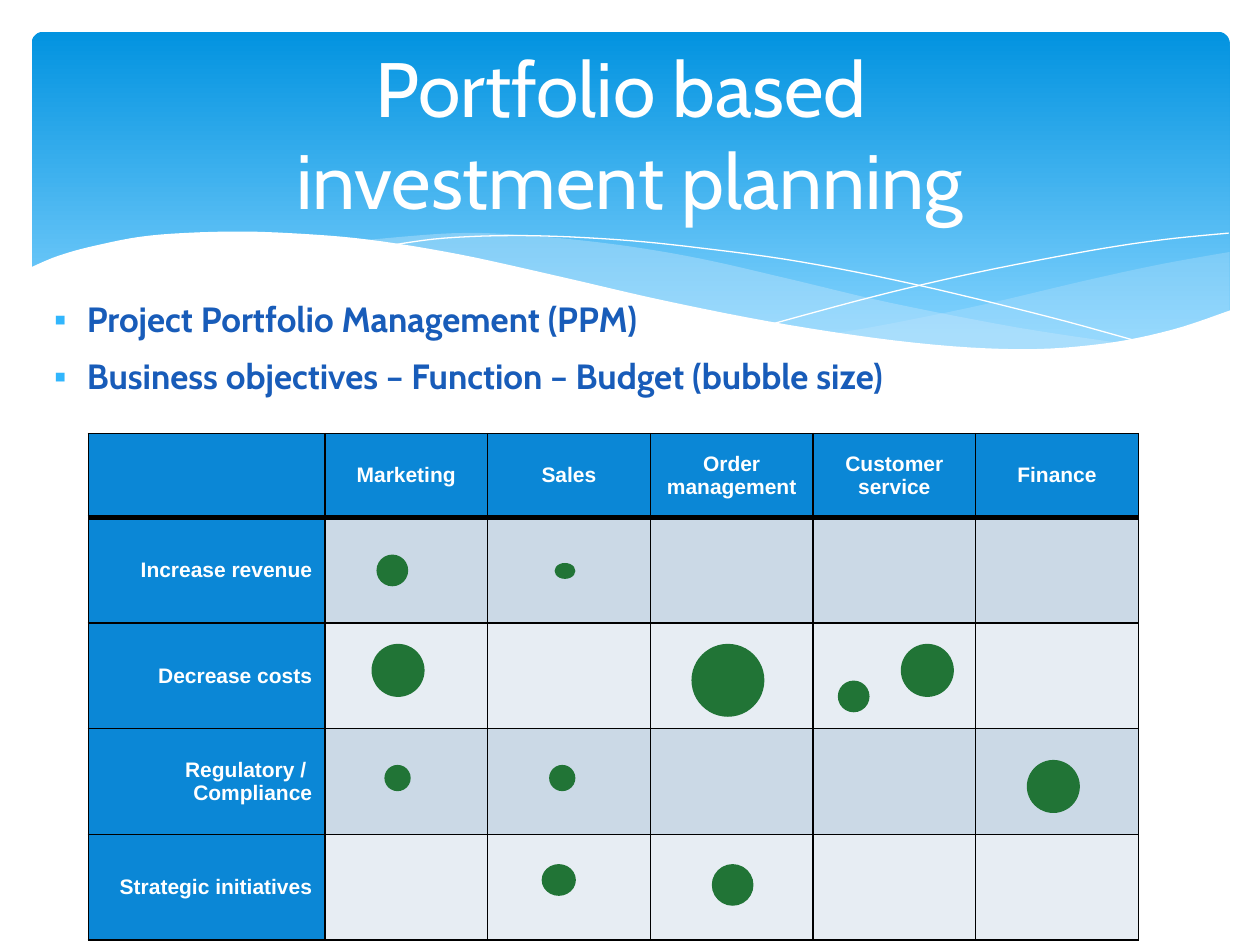
import pptx
import pptx.util
from lxml import etree
from pptx.dml.color import RGBColor
from pptx.enum.shapes import MSO_SHAPE
from pptx.enum.text import MSO_ANCHOR, PP_ALIGN
from pptx.oxml.ns import qn
from pptx.util import Cm, Pt

WHITE = RGBColor(0xFF, 0xFF, 0xFF)
BLACK = RGBColor(0x00, 0x00, 0x00)
PANEL_TOP = RGBColor(0x02, 0x93, 0xE0)
PANEL_BOTTOM = RGBColor(0x83, 0xD3, 0xFE)
WAVE = RGBColor(0xC6, 0xE7, 0xFC)
BULLET = RGBColor(0x31, 0xB6, 0xFD)
BODY = RGBColor(0x18, 0x5C, 0xB9)
HEADER = RGBColor(0x0B, 0x87, 0xD6)
BAND_DARK = RGBColor(0xCB, 0xD9, 0xE6)
BAND_LIGHT = RGBColor(0xE7, 0xED, 0xF3)
BUBBLE = RGBColor(0x21, 0x74, 0x36)

TITLE = "Portfolio based \vinvestment planning"
POINTS = ["Project Portfolio Management (PPM)",
          "Business objectives – Function – Budget (bubble size)"]
FUNCTIONS = ["Marketing", "Sales", "Order management", "Customer service", "Finance"]
OBJECTIVES = ["Increase revenue", "Decrease costs", "Regulatory / \vCompliance",
              "Strategic initiatives"]

# Left, top, width, height in cm
BUBBLES = [
    (13.94, 12.98, 1.47, 1.47), (7.59, 11.18, 0.64, 0.64), (11.18, 11.35, 0.42, 0.32),
    (7.49, 12.98, 1.07, 1.07), (7.75, 15.42, 0.53, 0.53), (11.07, 15.42, 0.53, 0.53),
    (10.92, 17.42, 0.69, 0.64), (14.35, 17.42, 0.84, 0.84), (20.7, 15.32, 1.07, 1.07),
    (18.16, 12.98, 1.07, 1.07), (16.89, 13.72, 0.64, 0.64),
]

# Points in cm that each curve passes through
RIGHT_WAVE_TOP = [(24.79, 5.08), (23.39, 5.33), (21.87, 5.66), (19.79, 6.15),
                  (17.93, 6.53), (16.79, 6.73)]
RIGHT_WAVE_BOTTOM = [(16.79, 6.73), (18.26, 6.91), (19.84, 7.04), (21.21, 7.04),
                     (22.58, 6.91), (23.75, 6.65), (24.79, 6.27)]
LONG_WAVE_TOP = [(22.68, 6.93), (20.5, 6.6), (17.93, 6.1), (15.98, 5.64), (14.1, 5.21),
                 (12.42, 4.93), (10.67, 4.75), (9.17, 4.7), (7.26, 4.85)]
LONG_WAVE_BOTTOM = [(7.26, 4.85), (8.69, 5.05), (10.26, 5.36), (11.4, 5.64), (13.46, 6.1),
                    (15.27, 6.48), (17.27, 6.81), (19, 7.01), (20.5, 7.06), (22.68, 6.93)]
FALLING_LINE = [(7.85, 4.95), (8.97, 4.8), (10.57, 4.75), (12.42, 4.83), (14.12, 5),
                (16.15, 5.28), (18.47, 5.74), (21.11, 6.38), (23.04, 6.91)]
RISING_LINE = [(15.57, 6.53), (17.65, 5.97), (19.71, 5.49), (22, 5.05), (23.47, 4.83),
               (24.77, 4.7)]
PANEL_EDGE = [(24.82, 6.25), (23.62, 6.65), (22.23, 6.93), (20.55, 7.04), (18.44, 6.91),
              (15.9, 6.55), (13.44, 6.07), (11.35, 5.59), (9.27, 5.13), (7.42, 4.83),
              (5.84, 4.7), (4.5, 4.67), (3.02, 4.75), (1.93, 4.95), (1.17, 5.16),
              (0.58, 5.41)]
PANEL_CORNERS = [(0.58, 8.36), (24.82, 8.36)]


def smooth(knots, steps=6):
    """Return points on a Catmull-Rom curve through the knots."""
    padded = [knots[0], *knots, knots[-1]]
    points = [knots[0]]
    for a, b, c, d in zip(padded, padded[1:], padded[2:], padded[3:]):
        for step in range(1, steps + 1):
            t = step / steps
            points.append(tuple(
                (2 * q + (r - p) * t + (2 * p - 5 * q + 4 * r - s) * t ** 2
                 + (3 * q - p - 3 * r + s) * t ** 3) / 2
                for p, q, r, s in zip(a, b, c, d)))
    return points


def add_outline(slide, points, fill=None, alpha=100, line=None):
    emu = [(Cm(x), Cm(y)) for x, y in points]
    builder = slide.shapes.build_freeform(*emu[0])
    builder.add_line_segments(emu[1:], close=fill is not None)
    shape = builder.convert_to_shape()
    shape.shadow.inherit = False
    if fill is None:
        shape.fill.background()
    else:
        shape.fill.solid()
        shape.fill.fore_color.rgb = fill
        color = shape.element.spPr.find(qn("a:solidFill"))[0]
        etree.SubElement(color, qn("a:alpha"), val=str(alpha * 1000))
    if line is None:
        shape.line.fill.background()
    else:
        shape.line.color.rgb = line
        shape.line.width = Pt(0)


def add_preset(slide, kind, box):
    shape = slide.shapes.add_shape(kind, *map(Cm, box))
    shape.shadow.inherit = False
    shape.line.fill.background()
    return shape


def write(paragraph, text, *, font, size, color, bold=False, align=PP_ALIGN.LEFT):
    paragraph.text = text
    paragraph.alignment = align
    paragraph.font.name = font
    paragraph.font.size = Pt(size)
    paragraph.font.bold = bold
    paragraph.font.color.rgb = color


def add_bullet(paragraph):
    properties = paragraph._p.get_or_add_pPr()
    properties.set("marL", str(Cm(0.66)))
    properties.set("indent", str(-Cm(0.66)))
    color = etree.SubElement(properties, qn("a:buClr"))
    etree.SubElement(color, qn("a:srgbClr"), val=str(BULLET))
    etree.SubElement(properties, qn("a:buFont"), typeface="Arial")
    etree.SubElement(properties, qn("a:buChar"), char="▪")


def format_cell(cell, fill, **widths):
    """Give the cell black borders, 1 pt unless widths names a side, and a fill."""
    properties = cell._tc.get_or_add_tcPr()
    for side in ("lnL", "lnR", "lnT", "lnB"):
        border = etree.SubElement(properties, qn(f"a:{side}"), w=str(Pt(widths.get(side, 1))))
        solid = etree.SubElement(border, qn("a:solidFill"))
        etree.SubElement(solid, qn("a:srgbClr"), val=str(BLACK))
    cell.fill.solid()
    cell.fill.fore_color.rgb = fill
    cell.vertical_anchor = MSO_ANCHOR.MIDDLE


def add_backdrop(slide):
    panel = add_preset(slide, MSO_SHAPE.ROUNDED_RECTANGLE, (0.64, 0.64, 24.15, 6.86))
    panel.adjustments[0] = 0.034
    panel.fill.gradient()
    panel.fill.gradient_angle = 270
    for stop, color, position in zip(panel.fill.gradient_stops,
                                     (PANEL_TOP, PANEL_BOTTOM), (0, 0.9)):
        stop.color.rgb = color
        stop.position = position
    add_outline(slide, smooth(RIGHT_WAVE_TOP) + smooth(RIGHT_WAVE_BOTTOM), WAVE, 29)
    add_outline(slide, smooth(LONG_WAVE_TOP) + smooth(LONG_WAVE_BOTTOM), WAVE, 40)
    for knots in (FALLING_LINE, RISING_LINE):
        add_outline(slide, smooth(knots), line=WHITE)
    add_outline(slide, smooth(PANEL_EDGE) + PANEL_CORNERS, WHITE)


def add_title(slide):
    title = slide.shapes.title
    title.left, title.top, title.width, title.height = map(Cm, (1.27, 0.94, 22.86, 3.48))
    title.text_frame.vertical_anchor = MSO_ANCHOR.MIDDLE
    write(title.text_frame.paragraphs[0], TITLE, font="Cabin", size=44, color=WHITE,
          align=PP_ALIGN.CENTER)
    title.element.getparent().append(title.element)  # in front of the backdrop


def add_points(slide):
    frame = slide.shapes.add_textbox(*map(Cm, (0.84, 3.76, 22.43, 4.57))).text_frame
    frame.word_wrap = True
    frame.margin_top = Cm(2.3)
    for index, text in enumerate(POINTS):
        paragraph = frame.add_paragraph() if index else frame.paragraphs[0]
        add_bullet(paragraph)
        write(paragraph, text, font="Cabin", size=20, color=BODY, bold=True)
        paragraph.line_spacing = 0.95
        paragraph.space_before = Pt(10 if index else 0)


def add_matrix(slide):
    rows, columns = len(OBJECTIVES) + 1, len(FUNCTIONS) + 1
    table = slide.shapes.add_table(rows, columns, *map(Cm, (1.78, 8.74, 21.17, 10.21))).table
    for index, column in enumerate(table.columns):
        column.width = Cm(3.28 if index else 4.77)
    for index, row in enumerate(table.rows):
        row.height = Cm(2.13 if index else 1.69)
    for r in range(rows):
        for c in range(columns):
            band = BAND_DARK if r % 2 else BAND_LIGHT
            fill = HEADER if r == 0 or c == 0 else band
            format_cell(table.cell(r, c), fill, lnT=3 if r == 1 else 1, lnB=1 if r else 3)
    labels = [(0, c, text, PP_ALIGN.CENTER) for c, text in enumerate(FUNCTIONS, 1)]
    labels += [(r, 0, text, PP_ALIGN.RIGHT) for r, text in enumerate(OBJECTIVES, 1)]
    for r, c, text, align in labels:
        write(table.cell(r, c).text_frame.paragraphs[0], text, font="Arial", size=12,
              color=WHITE, bold=True, align=align)


def main():
    presentation = pptx.Presentation()
    presentation.slide_width, presentation.slide_height = Cm(25.4), Cm(19.05)
    slide = presentation.slides.add_slide(presentation.slide_layouts[5])
    add_backdrop(slide)
    add_title(slide)
    add_points(slide)
    add_matrix(slide)
    for box in BUBBLES:
        bubble = add_preset(slide, MSO_SHAPE.OVAL, box)
        bubble.fill.solid()
        bubble.fill.fore_color.rgb = BUBBLE
    presentation.save("out.pptx")


if __name__ == "__main__":
    main()
